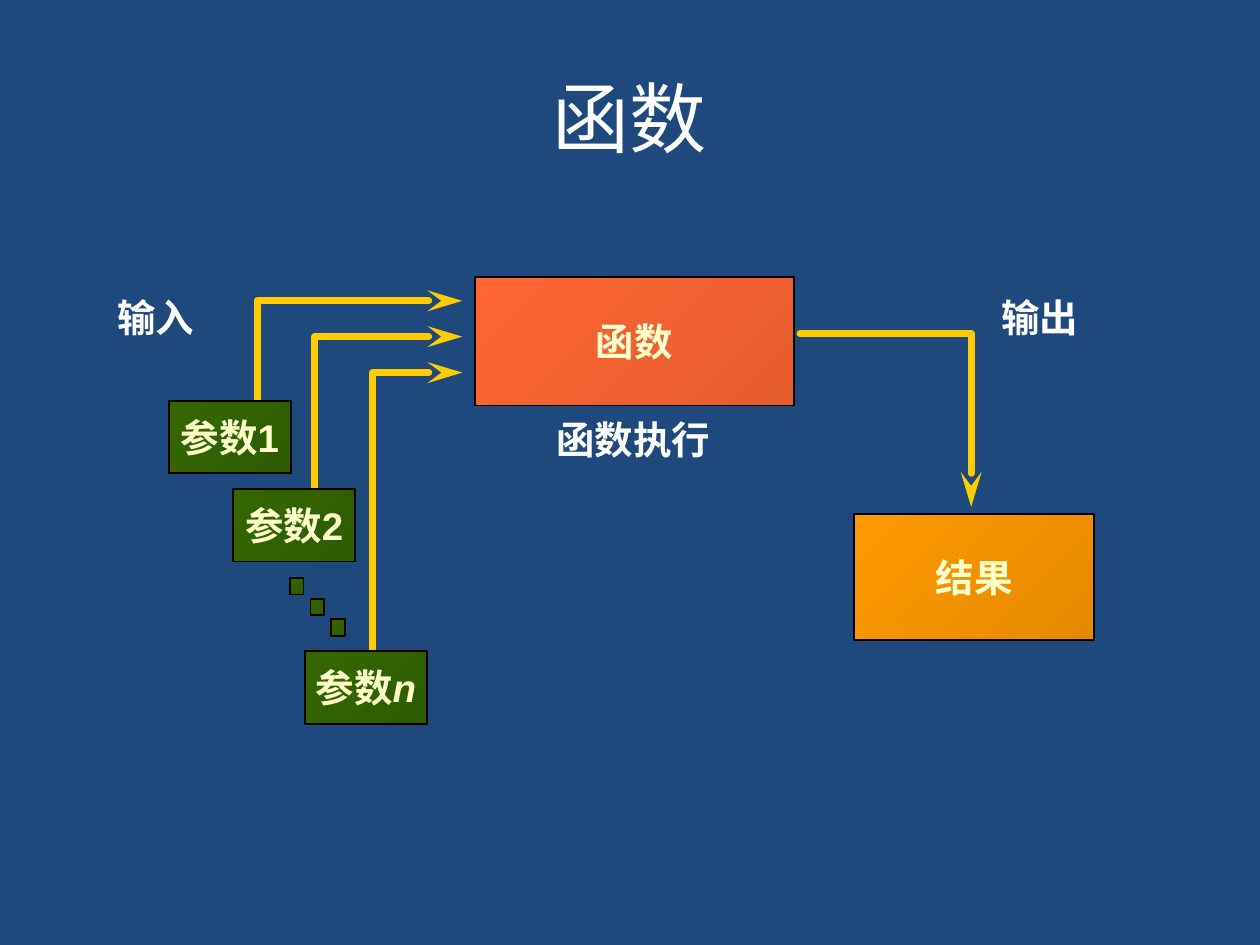
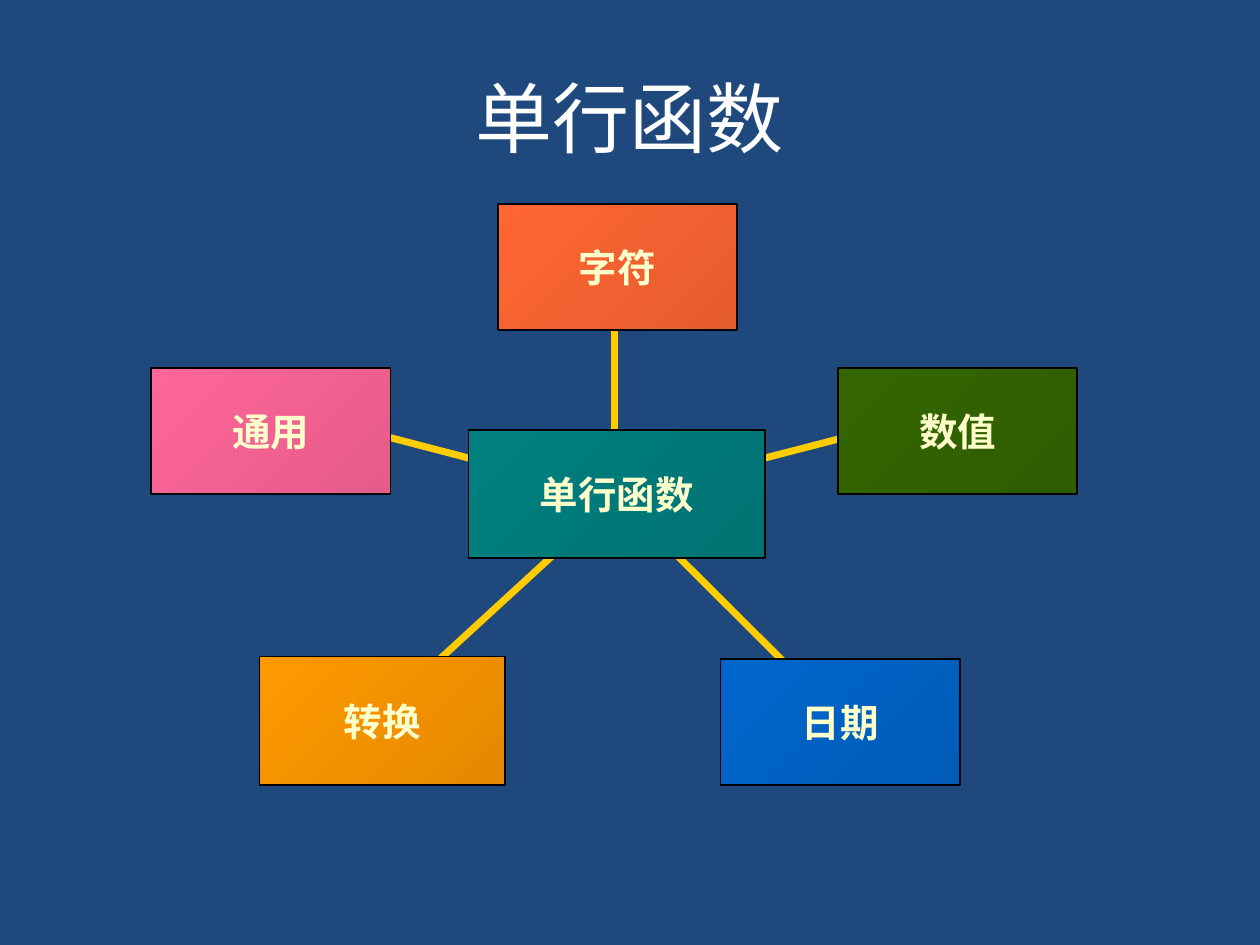
from lxml.etree import SubElement
from pptx import Presentation
from pptx.dml.color import RGBColor
from pptx.enum.shapes import MSO_CONNECTOR, MSO_SHAPE
from pptx.enum.text import MSO_ANCHOR, PP_ALIGN
from pptx.oxml.ns import qn
from pptx.util import Pt

HUES = {
    "back": "1F497D", "white": "FFFFFF", "cream": "FFFFCC",
    "edge": "000000", "wire": "FFCC00",
    "red": "FF6633", "red end": "E55C2E",
    "green": "336600", "green end": "2E5C00",
    "orange": "FF9900", "orange end": "E58900",
    "blue": "0066CC", "blue end": "005CB7",
    "pink": "FF6699", "pink end": "E55C89",
    "teal": "008080", "teal end": "007373",
}


def hue(name):
    return RGBColor.from_string(HUES[name])


def write(shape, text, size=22, font="Arial", color="white", bold=True,
          align=PP_ALIGN.CENTER, anchor=MSO_ANCHOR.MIDDLE, wrap=False, slant=""):
    """Fill the shape with one line of text; slant is an italic ending."""
    frame = shape.text_frame
    frame.word_wrap = wrap
    frame.vertical_anchor = anchor
    line = frame.paragraphs[0]
    line.alignment = align
    for part, lean in ((text, False), (slant, True)):
        if part:
            run = line.add_run()
            run.text = part
            run.font.name, run.font.size = font, Pt(size)
            run.font.bold, run.font.italic = bold, lean
            run.font.color.rgb = hue(color)


class Deck:
    def __init__(self):
        self.show = Presentation()
        self.show.slide_width, self.show.slide_height = Pt(720), Pt(540)
        self.slide = None

    def page(self, title):
        self.slide = self.show.slides.add_slide(self.show.slide_layouts[6])
        fill = self.slide.background.fill
        fill.solid()
        fill.fore_color.rgb = hue("back")
        self.label(title, 36, 21.6, 648, 90, size=44, font="Calibri",
                   bold=False, anchor=MSO_ANCHOR.MIDDLE, wrap=True)

    def label(self, text, *area, anchor=MSO_ANCHOR.TOP, **look):
        box = self.slide.shapes.add_textbox(*map(Pt, area))
        write(box, text, anchor=anchor, **look)

    def box(self, text, fill, *area, **look):
        box = self.slide.shapes.add_shape(MSO_SHAPE.RECTANGLE, *map(Pt, area))
        box.shadow.inherit = False
        box.fill.gradient()
        box.fill.gradient_angle = 315
        for stop, name in zip(box.fill.gradient_stops, (fill, fill + " end")):
            stop.color.rgb = hue(name)
        self.stroke(box, "edge", 1)
        if text:
            write(box, text, color="cream", **look)

    def stroke(self, shape, color, width):
        shape.line.color.rgb = hue(color)
        shape.line.width = Pt(width)

    def wire(self, start, end):
        wire = self.slide.shapes.add_connector(
            MSO_CONNECTOR.STRAIGHT, *map(Pt, start + end))
        self.stroke(wire, "wire", 4)
        SubElement(wire.element.spPr, qn("a:effectLst"))

    def arrow(self, *dots):
        """Draw an open bent line with an arrowhead at its last point."""
        dots = [(Pt(x), Pt(y)) for x, y in dots]
        path = self.slide.shapes.build_freeform(*dots[0], scale=1.0)
        path.add_line_segments(dots[1:], close=False)
        arrow = path.convert_to_shape()
        arrow.shadow.inherit = False
        arrow.fill.background()
        self.stroke(arrow, "wire", 4)
        line = arrow.element.spPr.find(qn("a:ln"))
        line.set("cap", "rnd")
        SubElement(line, qn("a:round"))
        SubElement(line, qn("a:tailEnd"), type="stealth", w="med", len="lg")


def flow(deck):
    deck.page("函数")
    deck.box("函数", "red", 271.4, 158.4, 182.2, 73.4)
    deck.label("函数执行", 259.2, 234, 205.2, 33.8, wrap=True)
    for text, left in (("输入", 59.8), ("输出", 565.2)):
        deck.label(text, left, 164.2, 58.3, 33.8, align=PP_ALIGN.LEFT)

    inputs = (("1", "", 96.5, 229), ("2", "", 133.2, 279.4), ("", "n", 174.2, 372.2))
    for i, (mark, slant, left, top) in enumerate(inputs):
        x, y = 146.9 + 33.1 * i, 171.9 + 20.5 * i
        deck.arrow((x, top + 10), (x, y), (264.2, y))
        deck.box("参数" + mark, "green", left, top, 69.8, 41.4, slant=slant)
    for i in range(3):
        step = 11.8 * i
        deck.box("", "green", 165.6 + step, 330.3 + step, 7.9, 9.4)

    deck.arrow((457.2, 190.6), (555, 190.6), (555, 289.6))
    deck.box("结果", "orange", 488.2, 293.8, 136.8, 72)


def kinds(deck):
    deck.page("单行函数")
    wide, high, mid = 136.8, 72, 283.5
    nodes = (
        ("字符", "red", (284.4, 116.6, wide, high), 351.4, (351.4, 172.1)),
        ("通用", "pink", (86.4, 210.2, wide, high), 351.4, (197.3, 243.4)),
        ("数值", "green", (478.8, 210.2, wide, high), 352.8, (511.2, 242.6)),
        ("转换", "orange", (148.3, 375.1, 140.4, 73.4), 352.8, (215.3, 409.7)),
        ("日期", "blue", (411.8, 376.6, wide, high), 352.8, (483.8, 414)),
    )
    for *_, hub, end in nodes:
        deck.wire((hub, mid), end)
    for text, fill, area, *_ in nodes:
        deck.box(text, fill, *area)
    deck.box("单行函数", "teal", 267.8, 245.6, 169.2, 73.4)


def main():
    deck = Deck()
    flow(deck)
    kinds(deck)
    deck.show.save("out.pptx")


if __name__ == "__main__":
    main()
